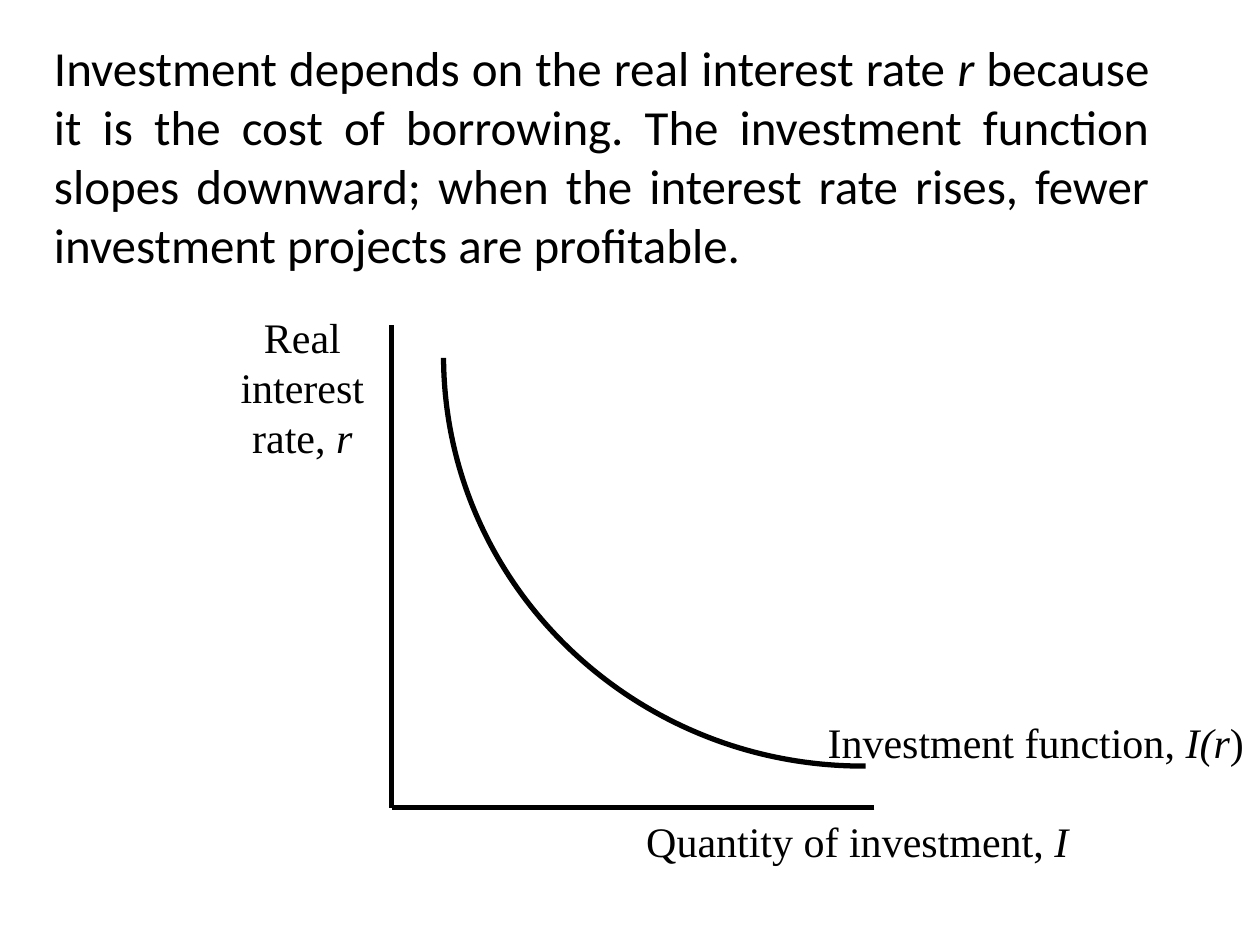
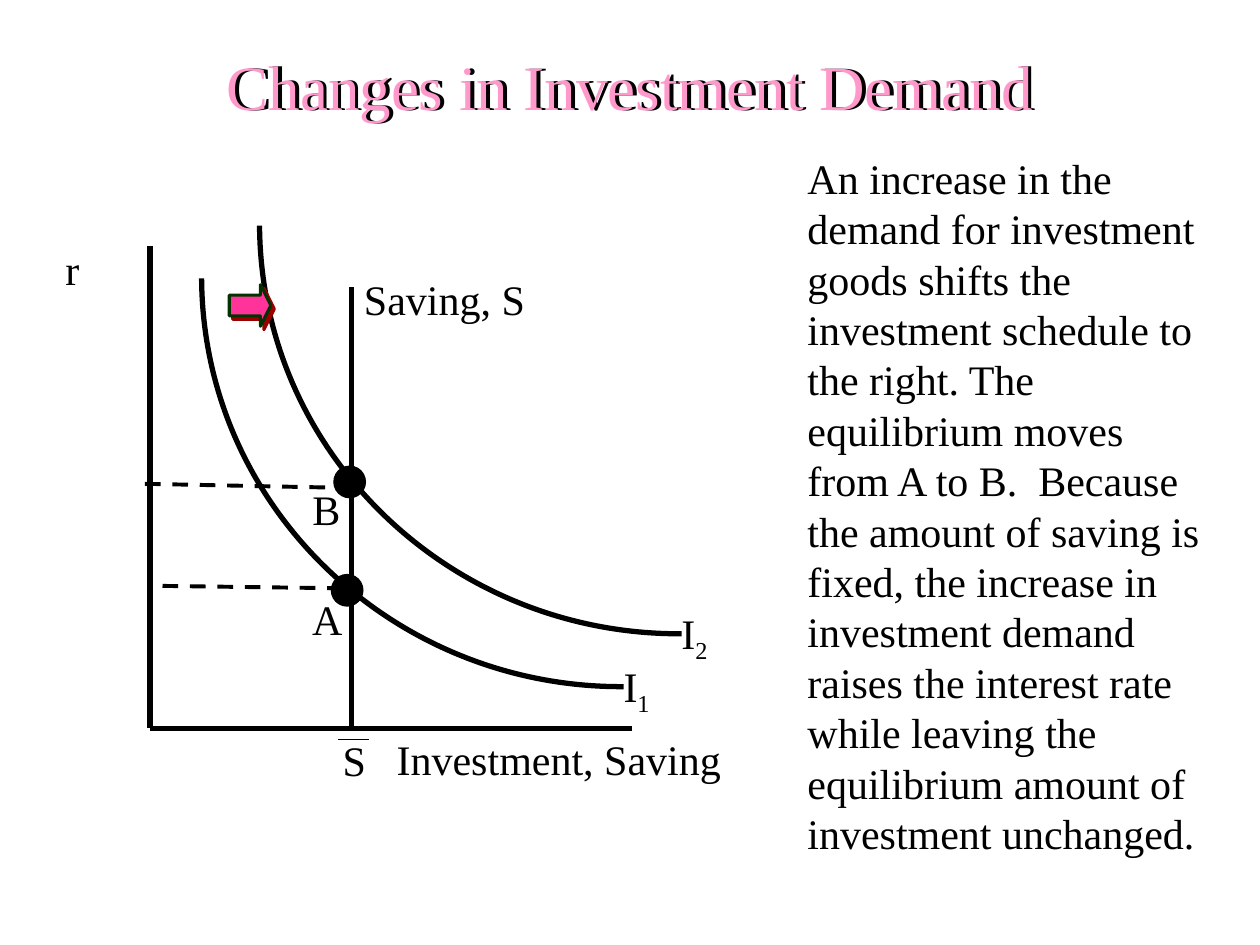
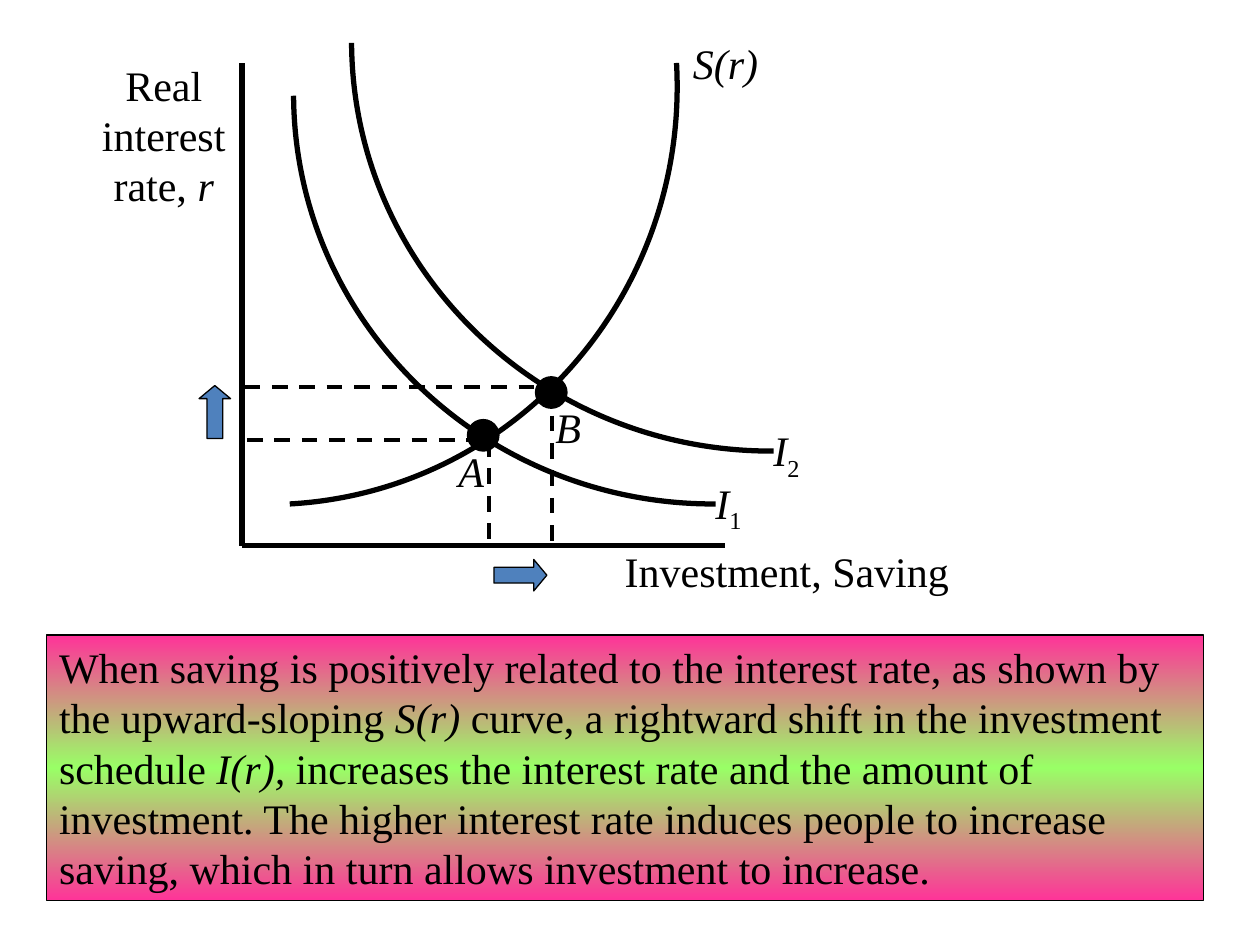
from copy import deepcopy
from dataclasses import dataclass

from lxml import etree
from pptx import Presentation
from pptx.dml.color import RGBColor
from pptx.enum import dml, shapes, text
from pptx.oxml import ns
from pptx.util import Inches, Pt

BLACK, PINK, HOT_PINK, GREEN = "000000", "FF99CC", "FF3399", "99FF66"
DARK_GREEN, DARK_RED, BLUE = "003300", "990000", "4F81BD"
SERIF, SANS = "Times New Roman", "Calibri"
AXIS = 3.83
AXIS_PT, DASH_PT, THIN_PT = 3, 2.25, 0.75
DOT = 0.25
DEMAND = ((3.35, 3.24), (1.51, 3.25), (0.01, 1.8), (0, 0))
SAVING = ((5.37, 0.5), (5.47, 2.34), (4.09, 3.9), (2.3, 4))
LEFT, CENTER, JUSTIFY = (getattr(text.PP_ALIGN, n) for n in ("LEFT", "CENTER", "JUSTIFY"))
RATE = "Real\ninterest\nrate, *r*"
Point = tuple[float, float]


@dataclass
class Label:
    value: str
    at: tuple[float, float, float, float]
    wrap: bool = False
    align: int = LEFT
    font: str = SERIF
    size: float = 24
    color: str = BLACK
    outline: bool = False
    grow: bool = True


@dataclass
class Line:
    start: Point
    end: Point
    width: float = AXIS_PT
    dash: bool = False


@dataclass
class Arrow:
    kind: int
    at: tuple[float, float, float, float]
    head: float
    fill: str = BLUE
    line: str = BLACK
    width: float = THIN_PT


def rgb(value: str) -> RGBColor:
    return RGBColor.from_string(value)


def set_all(obj, values: dict) -> None:
    for name, value in values.items():
        setattr(obj, name, value)


def sub(parent, tag: str, **attrs: str):
    return etree.SubElement(parent, ns.qn(tag), attrs)


def set_line(line, color: str, width: float) -> None:
    line.color.rgb = rgb(color)
    line.width = Pt(width)


def write(tf, label: Label) -> None:
    set_all(tf, {
        "word_wrap": label.wrap,
        "vertical_anchor": text.MSO_ANCHOR.TOP,
        "auto_size": text.MSO_AUTO_SIZE.SHAPE_TO_FIT_TEXT if label.grow else text.MSO_AUTO_SIZE.NONE,
    })
    for n, row in enumerate(label.value.split("\n")):
        p = tf.add_paragraph() if n else tf.paragraphs[0]
        p.alignment = label.align
        for i, part in enumerate(row.split("*")):
            for j, piece in enumerate(part.split("_")):
                if not piece:
                    continue
                r = p.add_run()
                r.text = piece
                set_all(r.font, {"name": label.font, "size": Pt(label.size), "italic": i % 2 == 1})
                r.font.color.rgb = rgb(label.color)
                props = r._r.get_or_add_rPr()
                if j:
                    props.set("baseline", "-25000")
                if label.outline:
                    ln = etree.Element(ns.qn("a:ln"), w=str(Pt(THIN_PT)))
                    sub(sub(ln, "a:solidFill"), "a:srgbClr", val=BLACK)
                    props.insert(0, ln)


def add_label(slide, label: Label) -> None:
    sp = slide.shapes.add_textbox(*map(Inches, label.at))
    write(sp.text_frame, label)


def add_line(slide, line: Line) -> None:
    sp = slide.shapes.add_connector(shapes.MSO_CONNECTOR.STRAIGHT, *map(Inches, line.start + line.end))
    set_line(sp.line, BLACK, line.width)
    if line.dash:
        sp.line.dash_style = dml.MSO_LINE.DASH
    sub(sp._element.spPr, "a:effectLst")


def add_curve(slide, points) -> None:
    track = [(Inches(x), Inches(y)) for x, y in points]
    builder = slide.shapes.build_freeform(*track[0])
    builder.add_line_segments(track[1:], close=False)
    sp = builder.convert_to_shape()
    segments = sp._element.spPr.findall(".//" + ns.qn("a:lnTo"))
    bend = sub(segments[0].getparent(), "a:cubicBezTo")
    for segment in segments:
        bend.append(segment[0])
        segment.getparent().remove(segment)
    sp.shadow.inherit = False
    sp.fill.background()
    set_line(sp.line, BLACK, AXIS_PT)


def add_shape(slide, kind: int, at, fill: str, line: str = BLACK, width: float = THIN_PT):
    sp = slide.shapes.add_shape(kind, *map(Inches, at))
    sp.shadow.inherit = False
    sp.fill.solid()
    sp.fill.fore_color.rgb = rgb(fill)
    set_line(sp.line, line, width)
    return sp


def add_dot(slide, at: Point) -> None:
    add_shape(slide, shapes.MSO_SHAPE.OVAL, (*at, DOT, DOT), BLACK)


def add_arrow(slide, arrow: Arrow):
    sp = add_shape(slide, arrow.kind, arrow.at, arrow.fill, arrow.line, arrow.width)
    sp.adjustments[0] = 0.5
    sp.adjustments[1] = arrow.head
    return sp


def add_shadow(sp, color: str) -> None:
    effects = sp._element.spPr.find(ns.qn("a:effectLst"))
    shadow = sub(effects, "a:outerShdw", dist=str(Pt(2.8)), dir="2700000", algn="ctr", rotWithShape="0")
    sub(shadow, "a:srgbClr", val=color)


def add_gradient(sp, colors: tuple[str, ...]) -> None:
    sp.fill.gradient()
    sp.fill.gradient_angle = 270
    stops = sp._element.spPr.find(".//" + ns.qn("a:gsLst"))
    stops.append(deepcopy(stops[0]))
    for n, (stop, color) in enumerate(zip(sp.fill.gradient_stops, colors)):
        stop.color.rgb = rgb(color)
        stop.position = n / (len(colors) - 1)


def add_demand(slide, start: Point, name: str = "") -> None:
    x, y = start
    add_curve(slide, [(x + dx, y + dy) for dx, dy in DEMAND])
    if name:
        add_label(slide, Label(name, (x + 3.25, y + 2.98, 0.42, 0.5)))


def add_diagram(slide, top: Point, names: tuple[str, ...]) -> None:
    x, y = top
    corner = (x, y + AXIS)
    add_line(slide, Line(top, corner))
    add_line(slide, Line((x + AXIS, y + AXIS), corner))
    for n, name in enumerate(names):
        add_demand(slide, (x + 0.41 + 0.46 * n, y + 0.26 - 0.42 * n), name)


def investment_function(slide) -> None:
    add_diagram(slide, (3.11, 2.58), ("",))
    for label in (
        Label(RATE, (1.81, 2.42, 1.18, 1.3), align=CENTER),
        Label("Quantity of investment, *I*", (5.03, 6.42, 3.89, 0.5), wrap=True),
        Label("Investment function, *I(r*)", (6.47, 5.64, 3.53, 0.5)),
        Label("Investment depends on the real interest rate *r *because it is the cost of "
              "borrowing. The investment function slopes downward; when the interest rate "
              "rises, fewer investment projects are profitable.",
              (0.33, 0.25, 8.89, 1.99), wrap=True, align=JUSTIFY, font=SANS, size=28),
    ):
        add_label(slide, label)


def demand_changes(slide) -> None:
    for left, color in ((1.89, BLACK), (1.86, PINK)):
        add_label(slide, Label("Changes in Investment Demand", (left, 0.33, 6.28, 0.67),
                               align=CENTER, size=36, color=color, outline=True, grow=False))
    add_diagram(slide, (1.19, 1.95), ("I_1", "I_2"))
    for line in (
        Line((2.79, 5.78), (2.79, 2.28)),
        Line((1.29, 4.65), (2.77, 4.67), DASH_PT, True),
        Line((1.15, 3.84), (2.63, 3.87), DASH_PT, True),
        Line((2.68, 5.87), (2.93, 5.87), THIN_PT),
    ):
        add_line(slide, line)
    for at in ((2.63, 4.56), (2.65, 3.7)):
        add_dot(slide, at)
    for label in (
        Label("An increase in the demand for investment goods shifts the investment schedule "
              "to the right. The equilibrium moves from A to B.  Because the amount of saving "
              "is fixed, the increase in investment demand raises the interest rate while "
              "leaving the equilibrium amount of investment unchanged.",
              (6.31, 1.16, 3.41, 5.76), wrap=True),
        Label("Investment, Saving", (3.05, 5.77, 2.94, 0.5), wrap=True),
        Label("r", (0.42, 1.88, 0.31, 0.51), align=CENTER),
        Label("Saving, S", (2.79, 2.12, 1.48, 0.5)),
        Label("S", (2.62, 5.78, 0.39, 0.5)),
        Label("A", (2.38, 4.66, 0.44, 0.5)),
        Label("B", (2.38, 3.79, 0.42, 0.5)),
    ):
        add_label(slide, label)
    shift = Arrow(shapes.MSO_SHAPE.RIGHT_ARROW, (1.82, 2.26, 0.33, 0.33), 0.25,
                  HOT_PINK, DARK_GREEN, 1.75)
    add_shadow(add_arrow(slide, shift), DARK_RED)


def rising_saving(slide) -> None:
    sp = add_shape(slide, shapes.MSO_SHAPE.RECTANGLE, (0.37, 5.04, 9.18, 2.11), HOT_PINK)
    add_gradient(sp, (HOT_PINK, GREEN, HOT_PINK))
    write(sp.text_frame, Label(
        "When saving is positively related to the interest rate, as shown by the "
        "upward-sloping *S(r)* curve, a rightward shift in the investment schedule *I(r),* "
        "increases the interest rate and the amount of investment. The higher interest rate "
        "induces people to increase saving, which in turn allows investment to increase.",
        (0.37, 5.04, 9.18, 2.11), wrap=True))
    add_diagram(slide, (1.92, 0.5), ("*I*_1", "*I*_2"))
    add_curve(slide, SAVING)
    for start, end in (
        ((1.96, 3.49), (3.88, 3.49)),
        ((1.94, 3.07), (4.36, 3.07)),
        ((3.88, 3.5), (3.88, 4.33)),
        ((4.38, 3.08), (4.38, 4.33)),
    ):
        add_line(slide, Line(start, end, DASH_PT, True))
    for at in ((3.71, 3.33), (4.25, 2.99)):
        add_dot(slide, at)
    for label in (
        Label("Investment, Saving", (4.86, 4.28, 4.35, 0.5), wrap=True),
        Label(RATE, (0.71, 0.42, 1.18, 1.3), align=CENTER),
        Label("*S(r)*", (5.4, 0.25, 0.72, 0.5)),
        Label("*A*", (3.54, 3.49, 0.4, 0.5)),
        Label("*B*", (4.31, 3.14, 0.4, 0.5)),
    ):
        add_label(slide, label)
    for arrow in (
        Arrow(shapes.MSO_SHAPE.UP_ARROW, (1.58, 3.06, 0.25, 0.42), 0.417),
        Arrow(shapes.MSO_SHAPE.RIGHT_ARROW, (3.92, 4.44, 0.42, 0.25), 0.417),
    ):
        add_arrow(slide, arrow)


prs = Presentation()
set_all(prs, {"slide_width": Inches(10), "slide_height": Inches(7.5)})
for draw in (investment_function, demand_changes, rising_saving):
    draw(prs.slides.add_slide(prs.slide_layouts[6]))
prs.save("out.pptx")
